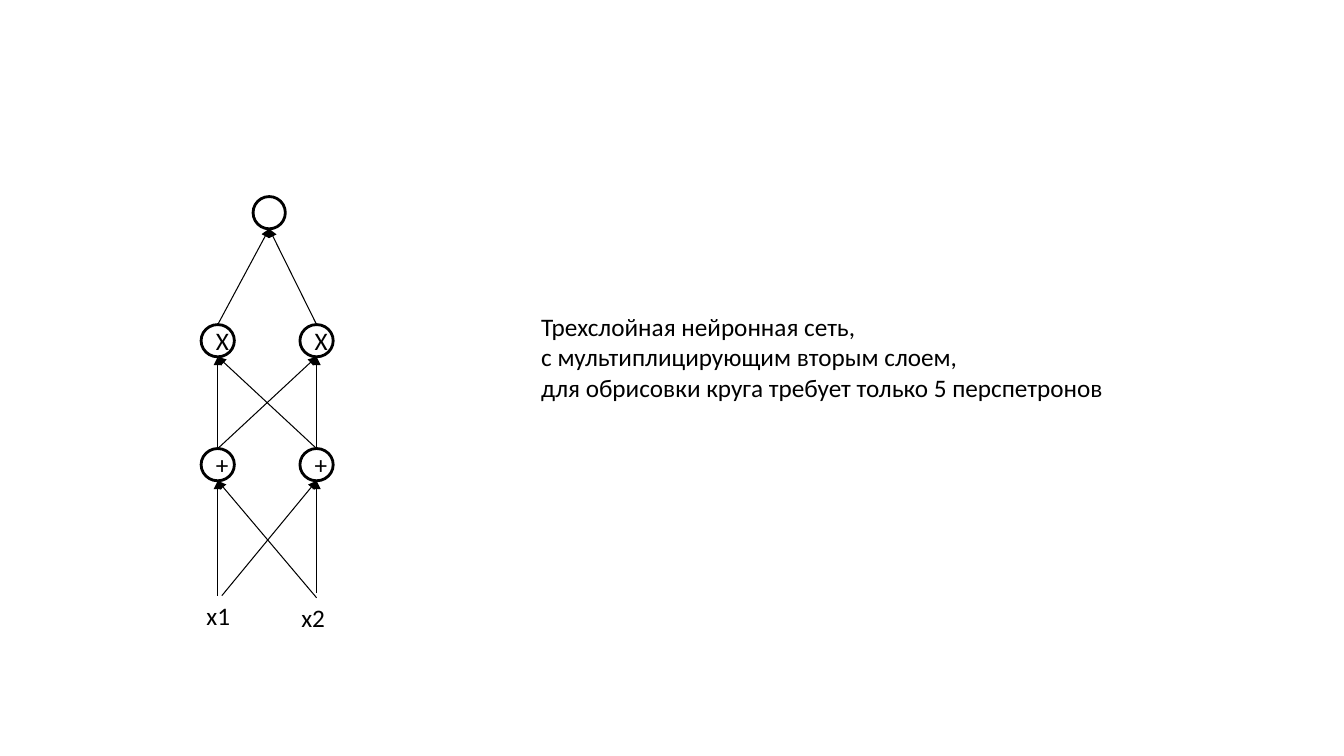
from lxml import etree
from pptx import Presentation
from pptx.dml.color import RGBColor
from pptx.enum.shapes import MSO_CONNECTOR, MSO_SHAPE
from pptx.enum.text import MSO_ANCHOR, PP_ALIGN
from pptx.oxml.ns import qn
from pptx.util import Pt

PX = 9144  # 100 px to the inch
OVAL = MSO_SHAPE.OVAL
LINE = MSO_CONNECTOR.STRAIGHT
MIDDLE = MSO_ANCHOR.MIDDLE
CENTER = PP_ALIGN.CENTER
LEFT = PP_ALIGN.LEFT


def color(code):
    return RGBColor.from_string(code)


def write(shape, lines, align):
    """Fill a shape with one paragraph per line."""
    frame = shape.text_frame
    frame.word_wrap = True
    frame.text = "\n".join(lines)
    for para in frame.paragraphs:
        para.alignment = align
        para.font.size = Pt(18)
        para.font.name = "Calibri"
        para.font.color.rgb = color("000000")


deck = Presentation()
deck.slide_width = 1333 * PX
deck.slide_height = 750 * PX
slide = deck.slides.add_slide(deck.slide_layouts[6])
shapes = slide.shapes

# Neurons: centre x, top, width, sign
SIZE = 32
left, right, mid = 216, 314, 267
out, times, plus = 195, 322, 445
neurons = [
    (left, plus, 33, "+"), (right, plus, 33, "+"),
    (left, times, 33, "Х"), (right, times, 33, "Х"),
    (mid, out, 32, ""),
]
for x, top, width, sign in neurons:
    node = shapes.add_shape(OVAL, int((x - width / 2) * PX), top * PX,
                            width * PX, SIZE * PX)
    node.shadow.inherit = False
    node.fill.solid()
    node.fill.fore_color.rgb = color("FFFFFF")
    node.line.color.rgb = color("000000")
    node.line.width = Pt(2)
    if sign:
        write(node, [sign], CENTER)
        node.text_frame.vertical_anchor = MIDDLE

# Arrows: from x, y to x, y
arrows = [
    (left, 591, left, plus + SIZE), (220, 591, right, plus + SIZE),
    (right, 588, right, plus + SIZE), (right, 593, left, plus + SIZE),
]
for start in (left, right):
    for end in (left, right):
        arrows.append((start, plus, end, times + SIZE))
    arrows.append((start, times, mid, out + SIZE))

for arrow in arrows:
    link = shapes.add_connector(LINE, *(value * PX for value in arrow))
    link.line.color.rgb = color("000000")
    link.line.width = Pt(0.75)
    etree.SubElement(link.line._get_or_add_ln(), qn("a:tailEnd"), type="triangle")
    etree.SubElement(link._element.spPr, qn("a:effectLst"))

# Inputs and caption: left, top, width, height, lines
texts = [
    (195, 591, 50, 40, ["x1"]),
    (289, 593, 50, 40, ["x2"]),
    (527, 304, 726, 100, [
        "Трехслойная нейронная сеть,",
        "с мультиплицирующим вторым слоем,",
        "для обрисовки круга требует только 5 перспетронов",
    ]),
]
for *place, lines in texts:
    box = shapes.add_textbox(*(value * PX for value in place))
    write(box, lines, LEFT)

deck.save("out.pptx")
